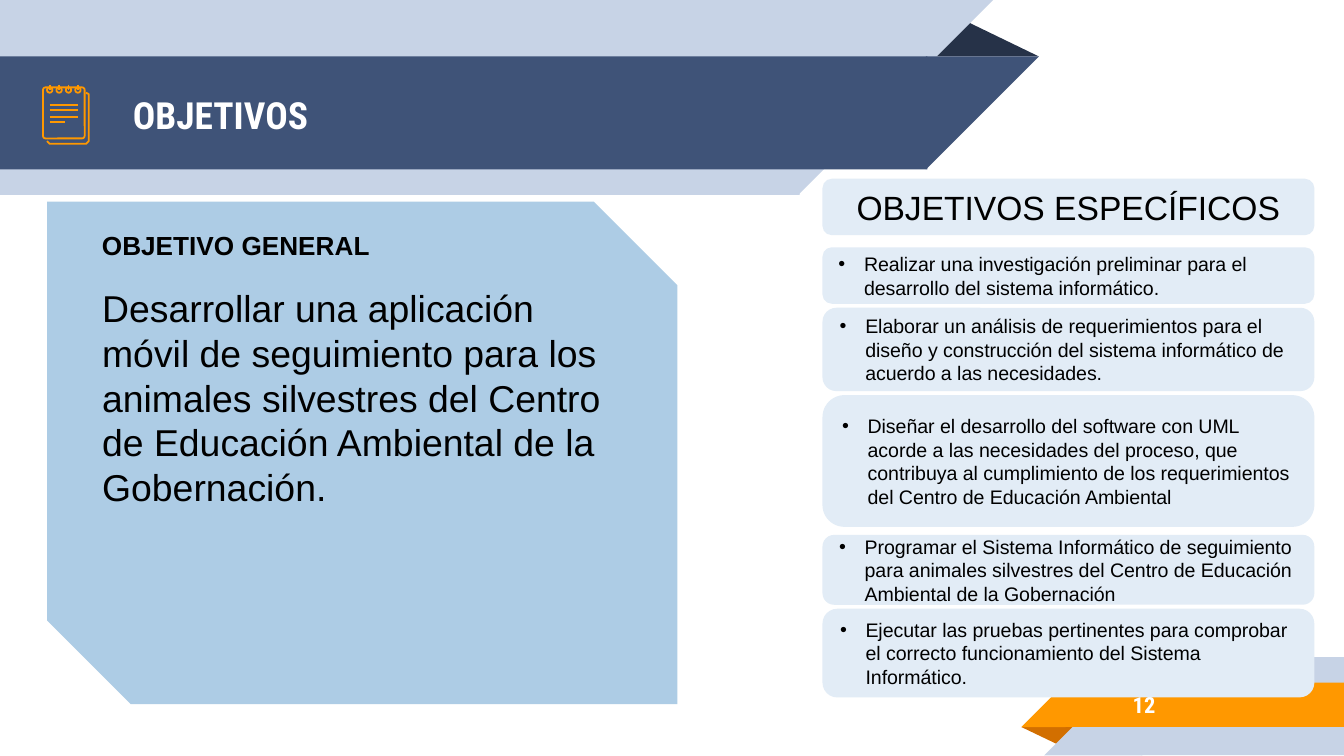
from dataclasses import dataclass

from lxml.etree import SubElement
from pptx import Presentation
from pptx.dml.color import RGBColor
from pptx.enum.shapes import MSO_CONNECTOR, MSO_SHAPE as Shape
from pptx.enum.text import MSO_ANCHOR as Anchor, PP_ALIGN as Align
from pptx.oxml.ns import qn
from pptx.util import Inches, Pt


@dataclass(frozen=True)
class Theme:
    navy: str = "3F5378"
    navy_fold: str = "263248"
    pale: str = "C7D3E6"
    orange: str = "FF9800"
    orange_fold: str = "D26F00"
    panel: str = "ADCCE5"
    card: str = "E2ECF6"
    ink: str = "000000"
    white: str = "FFFFFF"
    body_font: str = "Arial"
    title_font: str = "Roboto Condensed"
    title: float = 20
    heading: float = 18
    label: float = 14
    number: float = 12
    item: float = 10.5
    icon_line: float = 0.96


THEME = Theme()
FOLD_APEX = 0.32
SEAM = 0.01  # overlap that hides the joint between bar and tip

# Tops and heights are relative to the column of objectives
OBJECTIVES = [
    (0.51, 0.42, "Realizar una investigación preliminar para el desarrollo del sistema informático."),
    (0.96, 0.62, "Elaborar un análisis de requerimientos para el diseño y construcción del sistema "
                 "informático de acuerdo a las necesidades."),
    (1.61, 0.98, "Diseñar el desarrollo del software con UML acorde a las necesidades del proceso, que "
                 "contribuya al cumplimiento de los requerimientos del Centro de Educación Ambiental"),
    (2.65, 0.52, "Programar el Sistema Informático de seguimiento para animales silvestres del Centro "
                 "de Educación Ambiental de la Gobernación"),
    (3.20, 0.66, "Ejecutar las pruebas pertinentes para comprobar el correcto funcionamiento del "
                 "Sistema Informático."),
]


def apply_format(target, formats):
    for name, value in formats.items():
        setattr(target, name, value)


def add_block(slide, preset, box, color, rotation=0):
    block = slide.shapes.add_shape(preset, *map(Inches, box))
    block.shadow.inherit = False
    block.rotation = rotation
    block.fill.solid()
    block.fill.fore_color.rgb = RGBColor.from_string(color)
    block.line.fill.background()
    return block


def outline(shape):
    shape.line.color.rgb = RGBColor.from_string(THEME.orange)
    shape.line.width = Pt(THEME.icon_line)


def add_bullet(paragraph):
    props = paragraph._p.get_or_add_pPr()
    props.set("marL", str(Inches(0.19)))
    props.set("indent", str(-Inches(0.19)))
    SubElement(props, qn("a:buFont"), typeface=THEME.body_font)
    SubElement(props, qn("a:buChar"), char="•")


def write(shape, text, size, font=THEME.body_font, color=THEME.ink, bold=False,
          align=Align.LEFT, bullet=False, **frame_formats):
    frame = shape.text_frame
    apply_format(frame, {"word_wrap": True, "vertical_anchor": Anchor.MIDDLE, **frame_formats})
    paragraph = frame.paragraphs[0]
    paragraph.text = text
    paragraph.alignment = align
    if bullet:
        add_bullet(paragraph)
    run_font = paragraph.runs[0].font
    apply_format(run_font, {"name": font, "size": Pt(size), "bold": bold})
    run_font.color.rgb = RGBColor.from_string(color)


def add_label(slide, box, text, size, **formats):
    write(slide.shapes.add_textbox(*map(Inches, box)), text, size, **formats)


def add_ribbon(slide, box, slant, color, slant_right):
    """Bar with one 45-degree end, at the right or at the left of the box."""
    left, top, width, height = box
    bar_left = left if slant_right else left + slant - SEAM
    tip_left = left + width - slant if slant_right else left
    add_block(slide, Shape.RECTANGLE, (bar_left, top, width - slant + SEAM, height), color)
    add_block(slide, Shape.RIGHT_TRIANGLE, (tip_left, top, slant, height), color,
              90 if slant_right else 270)


def add_fold(slide, box, color, rotation=0):
    fold = add_block(slide, Shape.ISOSCELES_TRIANGLE, box, color, rotation)
    fold.adjustments[0] = FOLD_APEX


def add_header(slide, box):
    left, top, width, height = box
    add_fold(slide, (left + width - 0.85, top + 0.14, 0.85, 0.28), THEME.navy_fold)
    add_ribbon(slide, (left, top, width - 0.34, height), height, THEME.pale, True)
    add_ribbon(slide, (left, top + 0.42, width, 0.84), 0.84, THEME.navy, True)
    add_label(slide, (left + 0.89, top + 0.43, 5.75, 0.84), "OBJETIVOS", THEME.title,
              font=THEME.title_font, color=THEME.white, bold=True)
    add_notepad(slide, (left + 0.32, top + 0.63))


def add_footer(slide, box):
    left, top, width, height = box
    add_fold(slide, (left, top + 0.52, 0.43, 0.14), THEME.orange_fold, 180)
    add_ribbon(slide, (left + 0.17, top, width - 0.17, height), height, THEME.pale, False)
    add_ribbon(slide, (left, top + 0.19, width, 0.33), 0.33, THEME.orange, False)
    add_label(slide, (left + 0.73, top + 0.18, 1.63, 0.35), "12", THEME.number,
              font=THEME.title_font, color=THEME.white, bold=True)


def add_stroke(slide, *ends):
    stroke = slide.shapes.add_connector(MSO_CONNECTOR.STRAIGHT, *map(Inches, ends))
    outline(stroke)
    SubElement(stroke._element.spPr, qn("a:effectLst"))


def add_notepad(slide, corner):
    left, top = corner
    # Back sheet, seen along the bottom and right edges
    edge = [(0.03, 0.42), (0.05, 0.44), (0.32, 0.44), (0.34, 0.42), (0.34, 0.07), (0.32, 0.06)]
    points = [(Inches(left + x), Inches(top + y)) for x, y in edge]
    builder = slide.shapes.build_freeform(*points[0])
    builder.add_line_segments(points[1:], close=False)
    back_sheet = builder.convert_to_shape()
    back_sheet.shadow.inherit = False
    back_sheet.fill.background()
    outline(back_sheet)
    # Front sheet and rings
    ring_lefts = [left + 0.03 + 0.07 * i for i in range(4)]
    parts = [(Shape.ROUNDED_RECTANGLE, (left, top + 0.02, 0.31, 0.38))]
    parts += [(Shape.OVAL, (x, top + 0.02, 0.04, 0.04)) for x in ring_lefts]
    for preset, box in parts:
        part = add_block(slide, preset, box, THEME.navy)
        part.fill.background()
        outline(part)
        if preset == Shape.ROUNDED_RECTANGLE:
            part.adjustments[0] = 0.06
    for x in ring_lefts:
        add_stroke(slide, x + 0.02, top, x + 0.02, top + 0.04)
    # Written lines
    for y, length in [(0.15, 0.21), (0.19, 0.21), (0.24, 0.21), (0.28, 0.11)]:
        add_stroke(slide, left + 0.05, top + y, left + 0.05 + length, top + y)


def add_general_objective(slide, box):
    left, top, _, _ = box
    panel = add_block(slide, Shape.SNIP_2_DIAG_RECTANGLE, box, THEME.panel)
    write(panel, "Desarrollar una aplicación móvil de seguimiento para los animales silvestres "
                 "del Centro de Educación Ambiental de la Gobernación.", THEME.title,
          vertical_anchor=Anchor.TOP, margin_top=Inches(0.31))
    add_label(slide, (left + 0.31, top + 0.16, 2.21, 0.34), "OBJETIVO GENERAL", THEME.label,
              bold=True, word_wrap=False, vertical_anchor=Anchor.TOP)


def add_specific_objectives(slide, box):
    left, top, width, _ = box
    heading = add_block(slide, Shape.ROUNDED_RECTANGLE, (left, top, width, 0.42), THEME.card)
    write(heading, "OBJETIVOS ESPECÍFICOS", THEME.heading, align=Align.CENTER)
    for offset, height, text in OBJECTIVES:
        card = add_block(slide, Shape.ROUNDED_RECTANGLE, (left, top + offset, width, height),
                         THEME.card)
        write(card, text, THEME.item, bullet=True)


def main():
    deck = Presentation()
    deck.slide_width = Inches(10)
    deck.slide_height = deck.slide_width * 9 // 16
    slide = deck.slides.add_slide(deck.slide_layouts[6])
    add_header(slide, (0, 0, 7.73, 1.45))
    add_footer(slide, (7.6, 4.89, 2.4, 0.73))
    add_general_objective(slide, (0.35, 1.5, 4.69, 3.74))
    add_specific_objectives(slide, (6.12, 1.33, 3.66, 3.86))
    deck.save("out.pptx")


if __name__ == "__main__":
    main()
